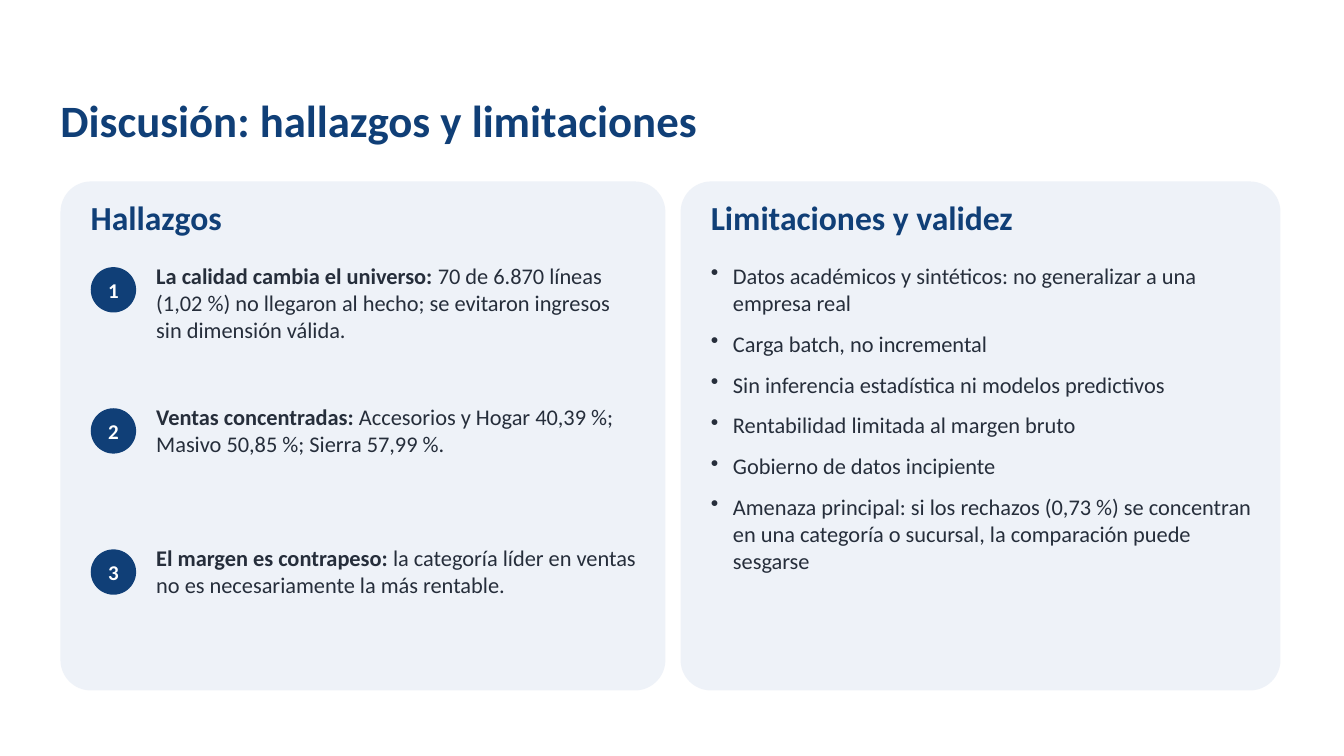
"""Build the slide on findings and limitations."""
from dataclasses import dataclass

import lxml.etree
import pptx
import pptx.dml.color
import pptx.enum.shapes
import pptx.enum.text
import pptx.oxml.ns
import pptx.shapes.autoshape
import pptx.slide
import pptx.text.text
import pptx.util

Inches = pptx.util.Inches
Shape = pptx.enum.shapes.MSO_SHAPE
Anchor = pptx.enum.text.MSO_ANCHOR

COLOURS = {"navy": "103F77", "panel": "EEF2F8", "ink": "262E3B", "white": "FFFFFF"}
FONT = "Calibri"
PANEL_TOP = 1.8
PANEL_HEIGHT = 5.05
PADDING = 0.3
BODY_TOP = 2.6
FINDING_PITCH = 1.4
BADGE_SIZE = 0.45
BULLET_INDENT = 0.22


@dataclass(frozen=True)
class Panel:
    heading: str
    left: float
    width: float


@dataclass(frozen=True)
class Finding:
    lead: str
    detail: str


FINDINGS_PANEL = Panel("Hallazgos", 0.6, 6)
LIMITS_PANEL = Panel("Limitaciones y validez", 6.75, 5.95)

FINDINGS = [
    Finding(
        "La calidad cambia el universo:",
        " 70 de 6.870 líneas (1,02 %) no llegaron al hecho; "
        "se evitaron ingresos sin dimensión válida.",
    ),
    Finding(
        "Ventas concentradas:",
        " Accesorios y Hogar 40,39 %; Masivo 50,85 %; Sierra 57,99 %.",
    ),
    Finding(
        "El margen es contrapeso:",
        " la categoría líder en ventas no es necesariamente la más rentable.",
    ),
]

LIMITATIONS = [
    "Datos académicos y sintéticos: no generalizar a una empresa real",
    "Carga batch, no incremental",
    "Sin inferencia estadística ni modelos predictivos",
    "Rentabilidad limitada al margen bruto",
    "Gobierno de datos incipiente",
    "Amenaza principal: si los rechazos (0,73 %) se concentran en una categoría "
    "o sucursal, la comparación puede sesgarse",
]


def colour(name: str) -> pptx.dml.color.RGBColor:
    return pptx.dml.color.RGBColor.from_string(COLOURS[name])


def add_span(para: pptx.text.text._Paragraph, text: str, size: float,
             tint: str, bold: bool = False) -> None:
    span = para.add_run()
    span.text = text
    span.font.name = FONT
    span.font.size = pptx.util.Pt(size)
    span.font.bold = bold
    span.font.color.rgb = colour(tint)


def clear_margins(frame: pptx.text.text.TextFrame) -> None:
    frame.margin_left = frame.margin_right = 0
    frame.margin_top = frame.margin_bottom = 0


def add_text_frame(page: pptx.slide.Slide, left: float, top: float,
                   width: float, height: float) -> pptx.text.text.TextFrame:
    box = page.shapes.add_textbox(
        Inches(left), Inches(top), Inches(width), Inches(height))
    frame = box.text_frame
    frame.word_wrap = True
    clear_margins(frame)
    return frame


def add_filled_shape(page: pptx.slide.Slide, kind: Shape, left: float, top: float,
                     width: float, height: float,
                     tint: str) -> pptx.shapes.autoshape.Shape:
    shape = page.shapes.add_shape(
        kind, Inches(left), Inches(top), Inches(width), Inches(height))
    shape.shadow.inherit = False
    shape.fill.solid()
    shape.fill.fore_color.rgb = colour(tint)
    shape.line.fill.background()
    return shape


def add_title(page: pptx.slide.Slide, text: str) -> None:
    frame = add_text_frame(page, 0.6, 0.82, 12.1, 0.8)
    frame.vertical_anchor = Anchor.MIDDLE
    para = frame.paragraphs[0]
    para.line_spacing = 0.9
    add_span(para, text, 32, "navy", bold=True)


def add_panel(page: pptx.slide.Slide, panel: Panel) -> None:
    card = add_filled_shape(page, Shape.ROUNDED_RECTANGLE, panel.left, PANEL_TOP,
                            panel.width, PANEL_HEIGHT, "panel")
    card.adjustments[0] = 0.06
    frame = add_text_frame(page, panel.left + PADDING, 1.95, 5.4, 0.5)
    add_span(frame.paragraphs[0], panel.heading, 24, "navy", bold=True)


def add_finding(page: pptx.slide.Slide, number: int, finding: Finding) -> None:
    left = FINDINGS_PANEL.left + PADDING
    top = BODY_TOP + (number - 1) * FINDING_PITCH
    badge = add_filled_shape(page, Shape.OVAL, left, top + 0.05,
                             BADGE_SIZE, BADGE_SIZE, "navy")
    clear_margins(badge.text_frame)
    badge.text_frame.vertical_anchor = Anchor.MIDDLE
    label = badge.text_frame.paragraphs[0]
    label.alignment = pptx.enum.text.PP_ALIGN.CENTER
    add_span(label, str(number), 15, "white", bold=True)

    para = add_text_frame(page, left + 0.65, top, 4.8, 1.3).paragraphs[0]
    add_span(para, finding.lead, 16, "ink", bold=True)
    add_span(para, finding.detail, 16, "ink")


def add_bullet(para: pptx.text.text._Paragraph) -> None:
    properties = para._p.get_or_add_pPr()
    properties.set("marL", str(Inches(BULLET_INDENT)))
    properties.set("indent", str(-Inches(BULLET_INDENT)))
    bullet = lxml.etree.SubElement(properties, pptx.oxml.ns.qn("a:buChar"))
    bullet.set("char", "•")


def add_limitations(page: pptx.slide.Slide, items: list[str]) -> None:
    frame = add_text_frame(page, LIMITS_PANEL.left + PADDING, BODY_TOP, 5.4, 4.1)
    for index, item in enumerate(items):
        para = frame.add_paragraph() if index else frame.paragraphs[0]
        add_bullet(para)
        if index < len(items) - 1:
            para.space_after = pptx.util.Pt(10)
        add_span(para, item, 16, "ink")


def main() -> None:
    deck = pptx.Presentation()
    deck.slide_width = Inches(13.33)
    deck.slide_height = Inches(7.5)
    page = deck.slides.add_slide(deck.slide_layouts[6])
    add_title(page, "Discusión: hallazgos y limitaciones")
    add_panel(page, FINDINGS_PANEL)
    for number, finding in enumerate(FINDINGS, start=1):
        add_finding(page, number, finding)
    add_panel(page, LIMITS_PANEL)
    add_limitations(page, LIMITATIONS)
    deck.save("out.pptx")


if __name__ == "__main__":
    main()
